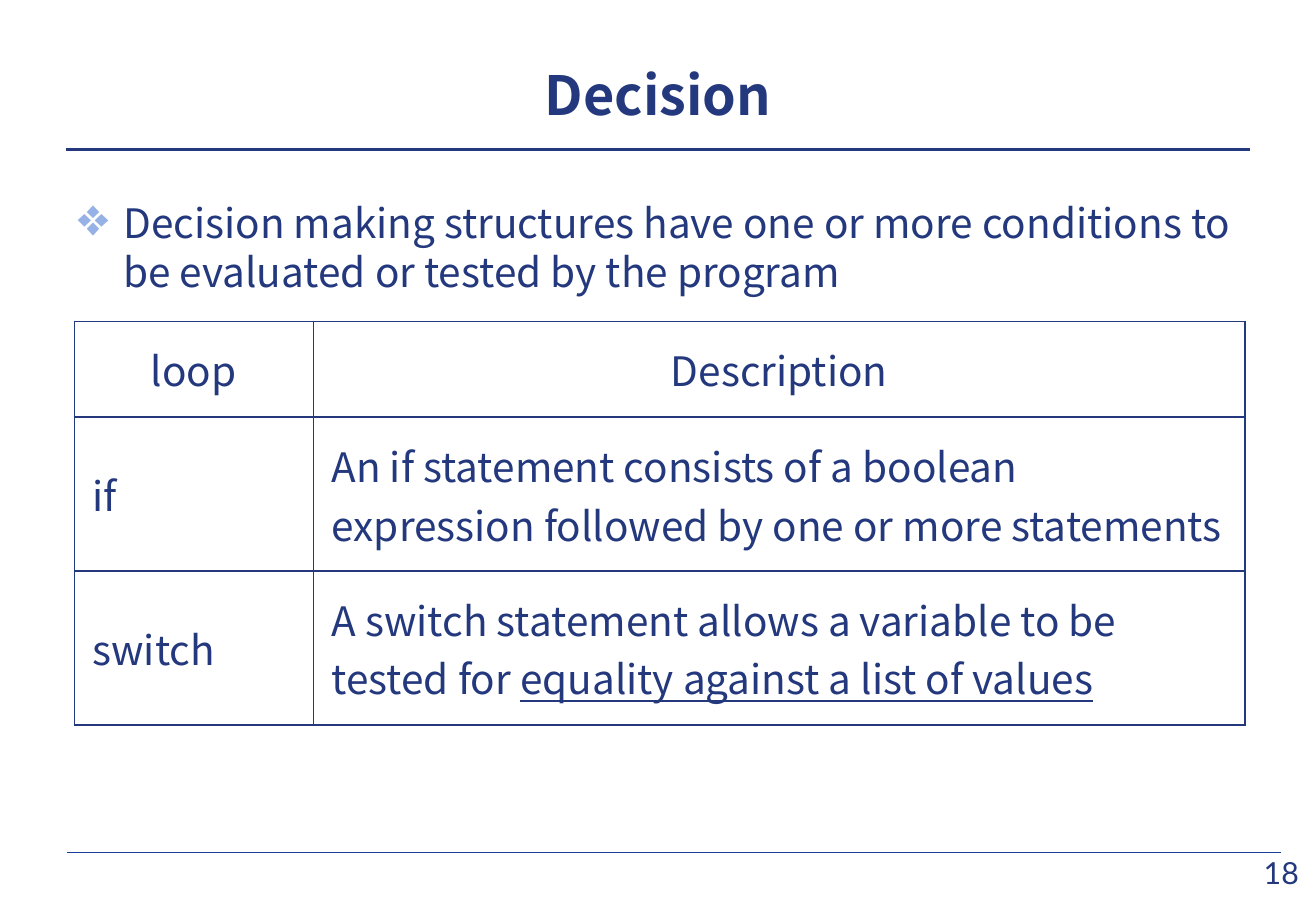
"""Builds the Decision slide: a title, a bullet and a table of statements."""
from lxml import etree
from pptx import Presentation
from pptx.dml.color import RGBColor
from pptx.enum.shapes import MSO_CONNECTOR
from pptx.enum.text import MSO_ANCHOR, PP_ALIGN
from pptx.oxml.ns import qn
from pptx.util import Pt

LINE = MSO_CONNECTOR.STRAIGHT
MID, TOP = MSO_ANCHOR.MIDDLE, MSO_ANCHOR.TOP
LEFT, MIDDLE = PP_ALIGN.LEFT, PP_ALIGN.CENTER
SANS = "Noto Sans CJK KR"
HUES = {"navy": "23387D", "rule": "1A3D97", "bullet": "96B1E6", "white": "FFFFFF"}


def style(para, size, align, face=SANS, bold=False):
    para.alignment = align
    font = para.font
    font.name, font.size, font.bold = face, Pt(size), bold
    font.color.rgb = RGBColor.from_string(HUES["navy"])
    props = para._p.get_or_add_pPr().find(qn("a:defRPr"))
    etree.SubElement(props, qn("a:ea")).set("typeface", face)


def add_text(box, words, anchor, inset=None):
    shape = slide.shapes.add_textbox(*map(Pt, box))
    frame = shape.text_frame
    frame.word_wrap = True
    frame.vertical_anchor = anchor
    if inset is not None:
        frame.margin_left = frame.margin_right = Pt(inset)
        frame.margin_top = frame.margin_bottom = Pt(inset)
    para = frame.paragraphs[0]
    para.text = words
    return para


deck = Presentation()
deck.slide_width, deck.slide_height = Pt(780), Pt(540)
slide = deck.slides.add_slide(deck.slide_layouts[6])

for left, right, y, width, hue in [
    (40, 759, 505, 0.1, "rule"),
    (39, 741, 88.5, 1.5, "navy"),
]:
    rule = slide.shapes.add_connector(LINE, Pt(left), Pt(y), Pt(right), Pt(y))
    rule.line.width = Pt(width)
    rule.line.color.rgb = RGBColor.from_string(HUES[hue])
    etree.SubElement(rule._element.spPr, qn("a:effectLst"))

style(add_text((741.5, 506.3, 36, 21.5), "18", MID, 0), 18, MIDDLE, "Lato")
style(add_text((39, 25.4, 702, 60.5), "Decision", MID), 32, MIDDLE, bold=True)

point = add_text(
    (39, 114, 702, 82),
    "Decision making structures have one or more conditions to be evaluated or tested by the program",
    TOP,
)
style(point, 24, LEFT)
props = point._p.get_or_add_pPr()
props.set("marL", str(Pt(27)))
props.set("indent", str(Pt(-27)))
hue = etree.Element(qn("a:buClr"))
etree.SubElement(hue, qn("a:srgbClr")).set("val", HUES["bullet"])
size = etree.Element(qn("a:buSzPct"))
size.set("val", "133000")
mark = etree.Element(qn("a:buChar"))
mark.set("char", "❖")
for item in (hue, size, mark):
    props.find(qn("a:defRPr")).addprevious(item)

rows = [
    [["loop"], ["Description"]],
    [["if"], ["An if statement consists of a boolean expression followed by one or more statements"]],
    [["switch"], ["A switch statement allows a variable to be tested for ", "equality against a list of values"]],
]
table = slide.shapes.add_table(3, 2, Pt(44), Pt(190.5), Pt(694), Pt(239.2)).table
for col, width in zip(table.columns, (141.8, 552.2)):
    col.width = Pt(width)
for row, height in zip(table.rows, (56.8, 91.2, 91.2)):
    row.height = Pt(height)

for r, row in enumerate(rows):
    for c, parts in enumerate(row):
        cell = table.cell(r, c)
        cell.vertical_anchor = MID
        cell.margin_left = cell.margin_right = Pt(10.8)
        cell.margin_top = cell.margin_bottom = Pt(10.8)
        para = cell.text_frame.paragraphs[0]
        for n, words in enumerate(parts):
            run = para.add_run()
            run.text = words
            if n:
                run.font.underline = True
        style(para, 24, LEFT if r else MIDDLE)
        props = cell._tc.get_or_add_tcPr()
        for side in ("lnL", "lnR", "lnT", "lnB"):
            edge = etree.SubElement(props, qn("a:" + side))
            edge.set("w", str(Pt(1)))
            fill = etree.SubElement(edge, qn("a:solidFill"))
            etree.SubElement(fill, qn("a:srgbClr")).set("val", HUES["navy"])
        cell.fill.solid()
        cell.fill.fore_color.rgb = RGBColor.from_string(HUES["white"])

deck.save("out.pptx")
